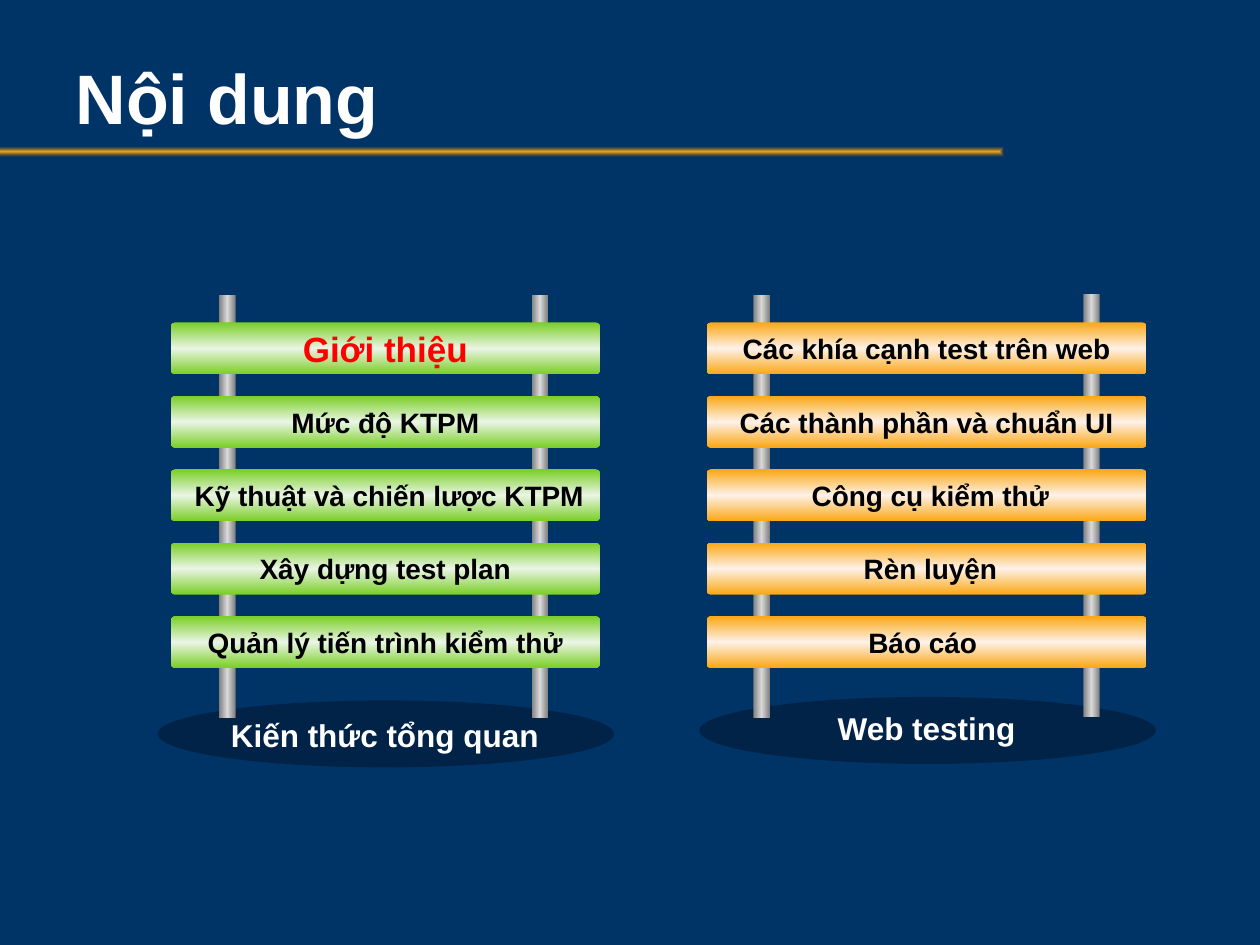
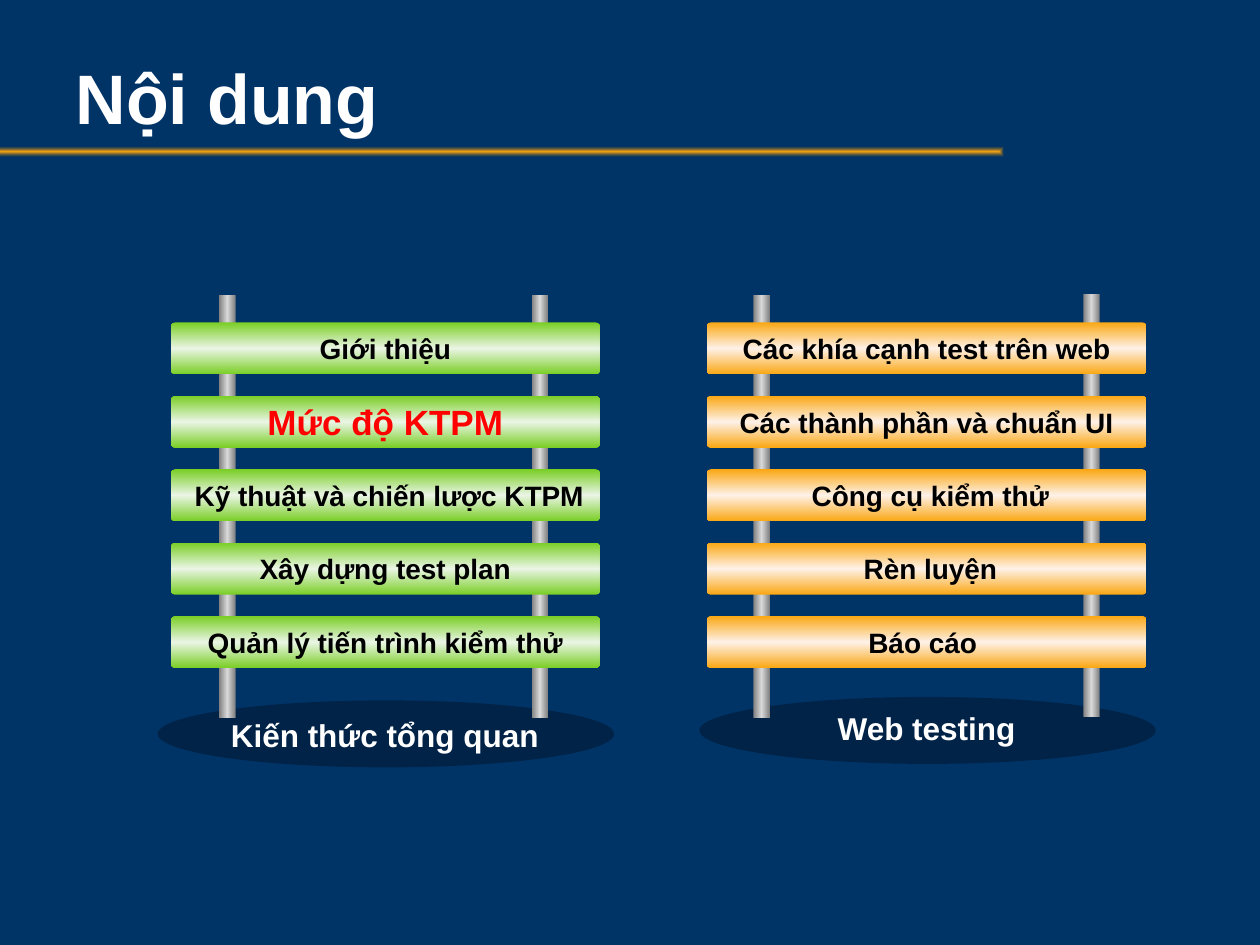
from lxml.etree import SubElement
from pptx import Presentation
from pptx.dml.color import RGBColor
from pptx.enum.shapes import MSO_SHAPE
from pptx.enum.text import MSO_ANCHOR, PP_ALIGN
from pptx.oxml import parse_xml
from pptx.oxml.ns import nsdecls, qn
from pptx.util import Cm, Pt

COLORS = {
    "navy": "003366",
    "white": "FFFFFF",
    "black": "000000",
    "red": "FF0000",
    "orange": "FAA712",
    "bronze": "B3770D",
    "cream": "FEF1E8",
    "green": "79CE24",
    "mint": "EAF5E5",
    "gray": "808080",
    "silver": "D9D9D9",
}
ACROSS = '<a:lin ang="0" scaled="1"/>'
DOWN = '<a:lin ang="5400000" scaled="1"/>'
FROM_CENTER = '<a:path path="rect"><a:fillToRect l="50000" t="50000" r="50000" b="50000"/></a:path>'

BAR_TOP, BAR_HEIGHT, BAR_PITCH = 6.5, 1.05, 1.48
POST_WIDTH, POST_HEIGHT = 0.33, 8.53

COLUMNS = [
    {
        "caption": "Kiến thức tổng quan",
        "caption_box": (4.37, 14.3, 6.78, 1.02),
        "base_box": (3.18, 14.12, 9.2, 1.35),
        "posts": [(10.72, 5.94), (4.42, 5.94)],
        "bar_left": 3.45,
        "bar_width": 8.64,
        "edge": "green",
        "middle": "mint",
        "topics": ["Giới thiệu", "Mức độ KTPM", " Kỹ thuật và chiến lược KTPM",
                   "Xây dựng test plan", "Quản lý tiến trình kiểm thử"],
    },
    {
        "caption": "Web testing",
        "caption_box": (16.61, 14.17, 4.14, 1.02),
        "base_box": (14.1, 14.05, 9.2, 1.35),
        "posts": [(21.84, 5.92), (15.19, 5.94)],
        "bar_left": 14.25,
        "bar_width": 8.86,
        "edge": "orange",
        "middle": "cream",
        "topics": ["Các khía cạnh test trên web", "Các thành phần và chuẩn UI",
                   " Công cụ kiểm thử", " Rèn luyện", "Báo cáo "],
    },
]
CURRENT_TOPICS = ["Giới thiệu", "Mức độ KTPM"]


def write_text(sp, text, size=16, color="black", align=PP_ALIGN.CENTER,
               anchor=MSO_ANCHOR.MIDDLE, wrap=False):
    tf = sp.text_frame
    tf.word_wrap = wrap
    tf.vertical_anchor = anchor
    p = tf.paragraphs[0]
    p.alignment = align
    r = p.add_run()
    r.text = text
    r.font.name = "Arial"
    r.font.size = Pt(size)
    r.font.bold = True
    r.font.color.rgb = RGBColor.from_string(COLORS[color])


def add_block(shapes, kind, box, stops, direction=DOWN):
    """Add a borderless shape; stops are (percent, color, opacity), a single one fills it plainly."""
    sp = shapes.add_shape(kind, *map(Cm, box))
    sp.shadow.inherit = False
    sp.line.fill.background()
    tag = "gradFill" if len(stops) > 1 else "solidFill"
    fill = parse_xml(f"<a:{tag} {nsdecls('a')}/>")
    stop_list = SubElement(fill, qn("a:gsLst")) if len(stops) > 1 else None
    for percent, color, opacity in stops:
        parent = fill
        if stop_list is not None:
            parent = SubElement(stop_list, qn("a:gs"), pos=str(percent * 1000))
        clr = SubElement(parent, qn("a:srgbClr"), val=COLORS[color])
        if opacity < 100:
            SubElement(clr, qn("a:alpha"), val=str(opacity * 1000))
    if stop_list is not None:
        fill.append(parse_xml(direction.replace("scaled=", nsdecls("a") + " scaled=")
                              .replace("path=", nsdecls("a") + " path=")))
    sp.element.spPr.insert(2, fill)
    return sp


prs = Presentation()
prs.slide_width, prs.slide_height = Cm(25.4), Cm(19.05)
layout = prs.slide_layouts[5]

# Shared background, title place and gold rule
bg = prs.slide_master.background.fill
bg.solid()
bg.fore_color.rgb = RGBColor.from_string(COLORS["navy"])
title = layout.placeholders[0]
title.left, title.top, title.width, title.height = map(Cm, (1.27, 0.46, 21.79, 2.97))

slides = [prs.slides.add_slide(layout) for _ in CURRENT_TOPICS]
rule = add_block(slides[0].shapes, MSO_SHAPE.RECTANGLE, (-0.08, 2.95, 20.32, 0.2),
                 [(0, "orange", 100), (100, "bronze", 0)], FROM_CENTER)
rule.element.nvSpPr.cNvPr.set("id", "20")
layout.shapes.element.insert(2, rule.element)

for s, current in zip(slides, CURRENT_TOPICS):
    write_text(s.shapes.title, "Nội dung", size=40, color="white",
               align=PP_ALIGN.LEFT, wrap=True)

    for col in COLUMNS:
        add_block(s.shapes, MSO_SHAPE.OVAL, col["base_box"], [(0, "black", 30)])
        ladder = s.shapes.add_group_shape().shapes

        for left, top in col["posts"]:
            add_block(ladder, MSO_SHAPE.RECTANGLE, (left, top, POST_WIDTH, POST_HEIGHT),
                      [(0, "gray", 100), (50, "silver", 100), (100, "gray", 100)], ACROSS)

        for i, topic in enumerate(col["topics"]):
            box = (col["bar_left"], BAR_TOP + i * BAR_PITCH, col["bar_width"], BAR_HEIGHT)
            edge, middle = col["edge"], col["middle"]
            bar = add_block(ladder, MSO_SHAPE.ROUNDED_RECTANGLE, box,
                            [(0, edge, 100), (50, middle, 100), (100, edge, 100)])
            bar.adjustments[0] = 0.08
            if topic == current:
                write_text(bar, topic, size=20, color="red")
            else:
                write_text(bar, topic)

        caption = s.shapes.add_textbox(*map(Cm, col["caption_box"]))
        write_text(caption, col["caption"], size=18, color="white", anchor=MSO_ANCHOR.TOP)

prs.save("out.pptx")
